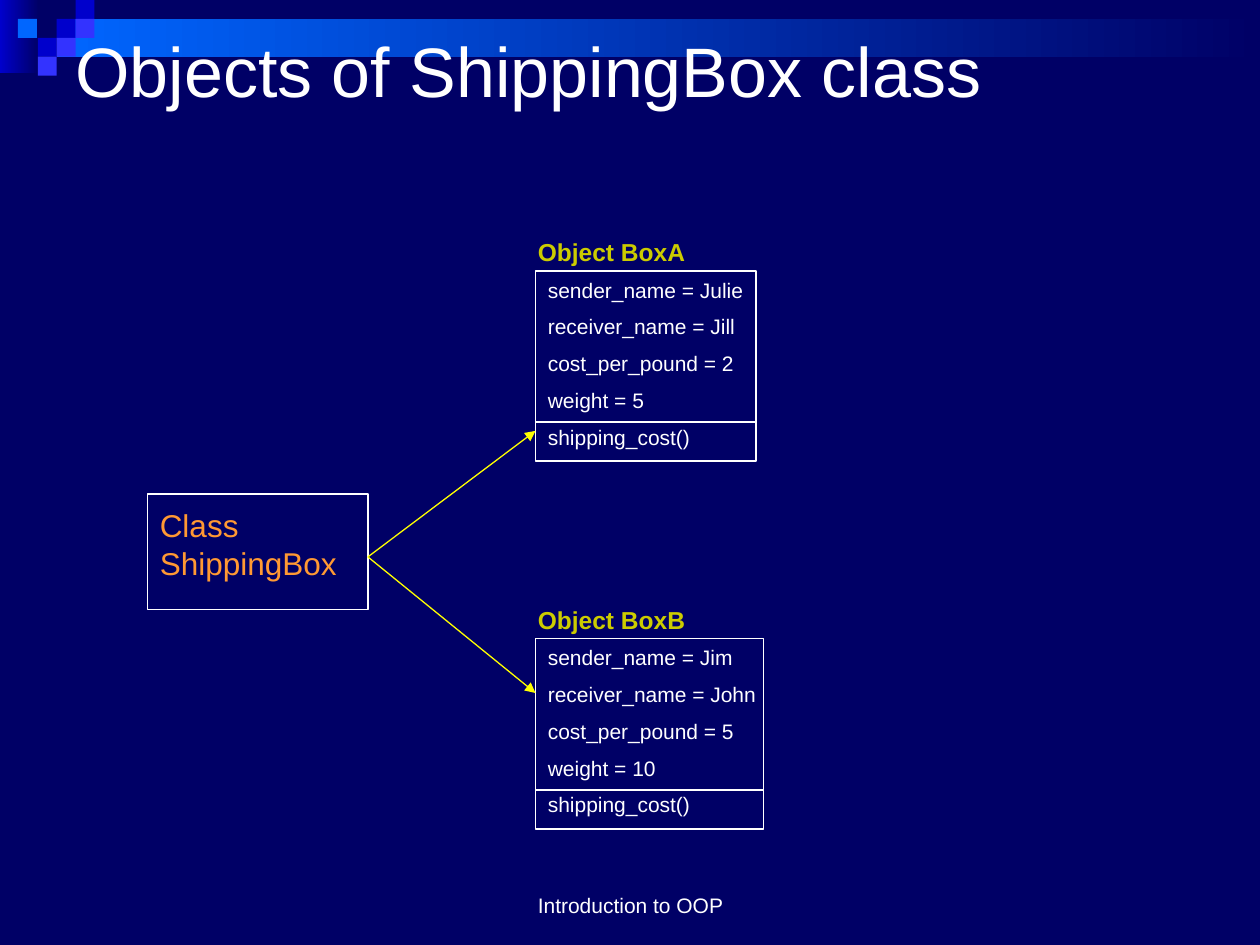
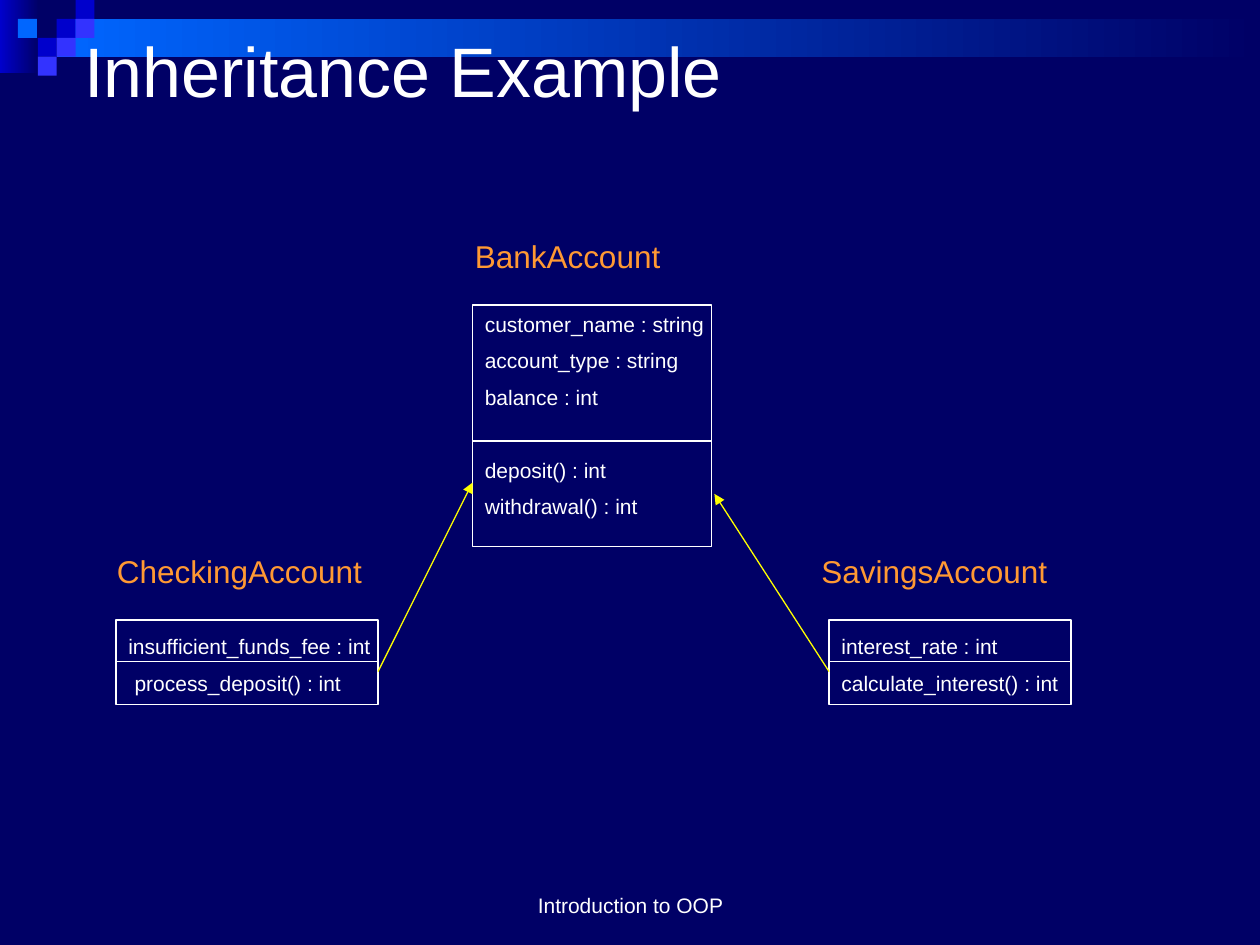
from dataclasses import dataclass

from lxml.etree import SubElement
from pptx import Presentation
from pptx.dml.color import RGBColor
from pptx.enum.shapes import MSO_CONNECTOR as Connector, MSO_SHAPE as Preset
from pptx.enum.text import MSO_ANCHOR as Anchor, PP_ALIGN as Align
from pptx.oxml.ns import qn
from pptx.slide import Slide
from pptx.util import Inches, Pt


@dataclass(frozen=True)
class Theme:
    font: str = "Arial"
    navy: str = "000066"
    blue: str = "0000CC"
    violet: str = "3333FF"
    azure: str = "0066FF"
    white: str = "FFFFFF"
    arrow: str = "FFFF00"
    class_name: str = "FF9933"
    object_name: str = "CCCC00"
    title_size: float = 40
    class_size: float = 18
    object_size: float = 14
    body_size: float = 12
    row_space: float = 6.6
    row_pitch: float = 20.4
    line_width: float = 0.75


THEME = Theme()


@dataclass(frozen=True)
class Box:
    left: float
    top: float
    width: float
    height: float

    def lengths(self) -> list[Inches]:
        return [Inches(v) for v in (self.left, self.top, self.width, self.height)]


@dataclass(frozen=True)
class TextStyle:
    size: float
    color: str
    bold: bool = False
    align: Align = Align.LEFT
    anchor: Anchor = Anchor.TOP


@dataclass(frozen=True)
class Row:
    """One line of text; skip leaves that many row heights free above it."""
    text: str
    skip: int = 0
    indent: float = 0


@dataclass(frozen=True)
class Heading:
    text: str
    box: Box
    style: TextStyle


@dataclass(frozen=True)
class Card:
    """A framed list of attributes over a list of methods."""
    heading: Heading
    frame: Box
    divider: float
    rows: tuple[Row, ...]
    rows_top: float
    rows_width: float


@dataclass(frozen=True)
class Arrow:
    start: tuple[float, float]
    end: tuple[float, float]


TITLE = TextStyle(THEME.title_size, THEME.white)
BODY = TextStyle(THEME.body_size, THEME.white)
FOOTER = TextStyle(THEME.body_size, THEME.white, align=Align.CENTER, anchor=Anchor.BOTTOM)
CLASS_NAME = TextStyle(THEME.class_size, THEME.class_name)
OBJECT_NAME = TextStyle(THEME.object_size, THEME.object_name, bold=True)

CELL = 0.15
BANDS = (
    (Box(0, 0, 0.31, 0.58), THEME.blue),
    (Box(0.45, CELL, 9.55, 0.3), THEME.azure),
)
# Column and row on the grid of small squares
SQUARES = (
    (3, 1, THEME.blue), (4, 0, THEME.blue), (4, 1, THEME.violet),
    (2, 2, THEME.blue), (0.95, 1, THEME.azure), (3, 2, THEME.violet),
    (2, 3, THEME.violet),
)


def add_rectangle(slide: Slide, box: Box):
    rectangle = slide.shapes.add_shape(Preset.RECTANGLE, *box.lengths())
    rectangle.shadow.inherit = False
    return rectangle


def add_frame(slide: Slide, box: Box) -> None:
    frame = add_rectangle(slide, box)
    frame.fill.background()
    frame.line.color.rgb = RGBColor.from_string(THEME.white)
    frame.line.width = Pt(THEME.line_width)


def add_band(slide: Slide, box: Box, color: str) -> None:
    """Fade from the colour on the left to the background on the right."""
    band = add_rectangle(slide, box)
    band.line.fill.background()
    band.fill.gradient()
    band.fill.gradient_angle = 180
    for stop, stop_color in zip(band.fill.gradient_stops, (THEME.navy, color)):
        stop.color.rgb = RGBColor.from_string(stop_color)


def add_square(slide: Slide, column: float, row: float, color: str) -> None:
    square = add_rectangle(slide, Box(column * CELL, row * CELL, CELL, CELL))
    square.line.fill.background()
    square.fill.solid()
    square.fill.fore_color.rgb = RGBColor.from_string(color)


def add_line(slide: Slide, start: tuple[float, float], end: tuple[float, float],
             color: str, arrowhead: bool = False) -> None:
    line = slide.shapes.add_connector(Connector.STRAIGHT, *map(Inches, start + end))
    line.line.color.rgb = RGBColor.from_string(color)
    line.line.width = Pt(THEME.line_width)
    if arrowhead:
        SubElement(line.line._get_or_add_ln(), qn("a:tailEnd"), type="triangle")
    SubElement(line._element.spPr, qn("a:effectLst"))


def add_text(slide: Slide, box: Box, rows: tuple[Row, ...], style: TextStyle) -> None:
    text_frame = slide.shapes.add_textbox(*box.lengths()).text_frame
    frame_format = {"word_wrap": True, "vertical_anchor": style.anchor}
    for name, value in frame_format.items():
        setattr(text_frame, name, value)
    font_format = {"name": THEME.font, "size": Pt(style.size), "bold": style.bold}
    for index, row in enumerate(rows):
        paragraph = text_frame.add_paragraph() if index else text_frame.paragraphs[0]
        paragraph.alignment = style.align
        if index:
            paragraph.space_before = Pt(THEME.row_space + row.skip * THEME.row_pitch)
        if row.indent:
            paragraph._p.get_or_add_pPr().set("marL", str(Inches(row.indent)))
        run = paragraph.add_run()
        run.text = row.text
        for name, value in font_format.items():
            setattr(run.font, name, value)
        run.font.color.rgb = RGBColor.from_string(style.color)


def add_heading(slide: Slide, heading: Heading) -> None:
    add_text(slide, heading.box, (Row(heading.text),), heading.style)


def add_card(slide: Slide, card: Card) -> None:
    frame = card.frame
    add_frame(slide, frame)
    divider_y = frame.top + card.divider
    add_line(slide, (frame.left, divider_y), (frame.left + frame.width, divider_y),
             THEME.white)
    rows_height = 0.3 * sum(1 + row.skip for row in card.rows)
    rows_box = Box(frame.left, frame.top + card.rows_top, card.rows_width, rows_height)
    add_text(slide, rows_box, card.rows, BODY)
    add_heading(slide, card.heading)


def object_card(name: str, top: float, width: float, values: dict[str, str]) -> Card:
    rows = [Row(f"{attribute} = {value}") for attribute, value in values.items()]
    return Card(
        Heading(name, Box(4.17, top - 0.32, 1.55, 0.33), OBJECT_NAME),
        Box(4.25, top, width, 1.51), 1.2,
        (*rows, Row("shipping_cost()")), 0, 2.5)


def subclass_card(name: str, name_left: float, left: float, width: float,
                  rows_width: float, rows: tuple[Row, ...]) -> Card:
    return Card(Heading(name, Box(name_left, 4.33, 2.25, 0.4), CLASS_NAME),
                Box(left, 4.92, width, 0.67), 0.33, rows, 0.06, rows_width)


SHIPPING_CLASS = Heading("Class ShippingBox", Box(1.17, 3.97, 1.67, 0.7), CLASS_NAME)
SHIPPING_FRAME = Box(1.17, 3.92, 1.75, 0.92)
SHIPPING_CARDS = (
    object_card("Object BoxA", 2.15, 1.75, {
        "sender_name": "Julie", "receiver_name": "Jill",
        "cost_per_pound": "2", "weight": "5"}),
    object_card("Object BoxB", 5.07, 1.81, {
        "sender_name": "Jim", "receiver_name": "John",
        "cost_per_pound": "5", "weight": "10"}),
)
SHIPPING_ARROWS = (
    Arrow((2.92, 4.42), (4.25, 3.42)),
    Arrow((2.92, 4.42), (4.25, 5.5)),
)

ACCOUNT_CARDS = (
    Card(Heading("BankAccount", Box(3.67, 1.83, 1.83, 0.4), CLASS_NAME),
         Box(3.75, 2.42, 1.9, 1.92), 1.08,
         (Row("customer_name : string"), Row("account_type : string"),
          Row("balance : int"), Row("deposit() : int", skip=1),
          Row("withdrawal() : int")), 0, 2.5),
    subclass_card("CheckingAccount", 0.83, 0.92, 2.08, 2.5,
                  (Row("insufficient_funds_fee : int"),
                   Row("process_deposit() : int", indent=0.05))),
    subclass_card("SavingsAccount", 6.42, 6.58, 1.92, 2,
                  (Row("interest_rate : int"), Row("calculate_interest() : int"))),
)
ACCOUNT_ARROWS = (
    Arrow((3, 5.33), (3.75, 3.83)),
    Arrow((6.58, 5.33), (5.67, 3.92)),
)


def add_base_slide(deck: Presentation, title: Row, title_left: float) -> Slide:
    """Add a slide with the shared background, header pattern, title and footer."""
    slide = deck.slides.add_slide(deck.slide_layouts[6])
    slide.background.fill.solid()
    slide.background.fill.fore_color.rgb = RGBColor.from_string(THEME.navy)
    for box, color in BANDS:
        add_band(slide, box, color)
    for column, row, color in SQUARES:
        add_square(slide, column, row, color)
    add_text(slide, Box(title_left, 0.17, 9, 1.5), (title,), TITLE)
    add_text(slide, Box(3.42, 6.83, 3.17, 0.5), (Row("Introduction to OOP"),), FOOTER)
    return slide


def add_diagram(slide: Slide, cards: tuple[Card, ...], arrows: tuple[Arrow, ...]) -> None:
    for card in cards:
        add_card(slide, card)
    for arrow in arrows:
        add_line(slide, arrow.start, arrow.end, THEME.arrow, arrowhead=True)


def main() -> None:
    deck = Presentation()
    deck.slide_width, deck.slide_height = Inches(10), Inches(7.5)

    shipping = add_base_slide(deck, Row("Objects of ShippingBox class"), 0.5)
    add_frame(shipping, SHIPPING_FRAME)
    add_heading(shipping, SHIPPING_CLASS)
    add_diagram(shipping, SHIPPING_CARDS, SHIPPING_ARROWS)

    accounts = add_base_slide(deck, Row("Inheritance Example", indent=0.15), 0.42)
    add_diagram(accounts, ACCOUNT_CARDS, ACCOUNT_ARROWS)

    deck.save("out.pptx")


if __name__ == "__main__":
    main()
